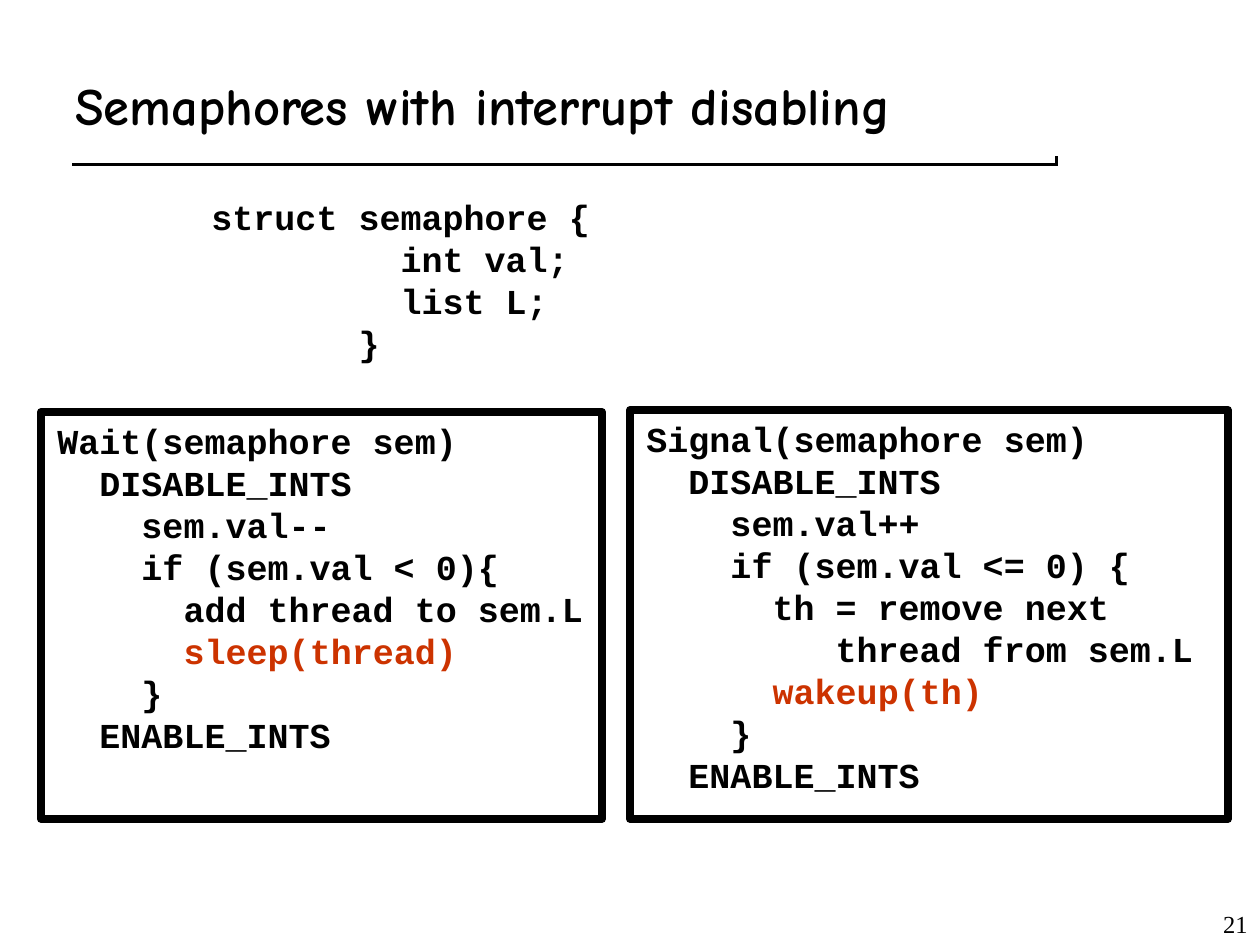
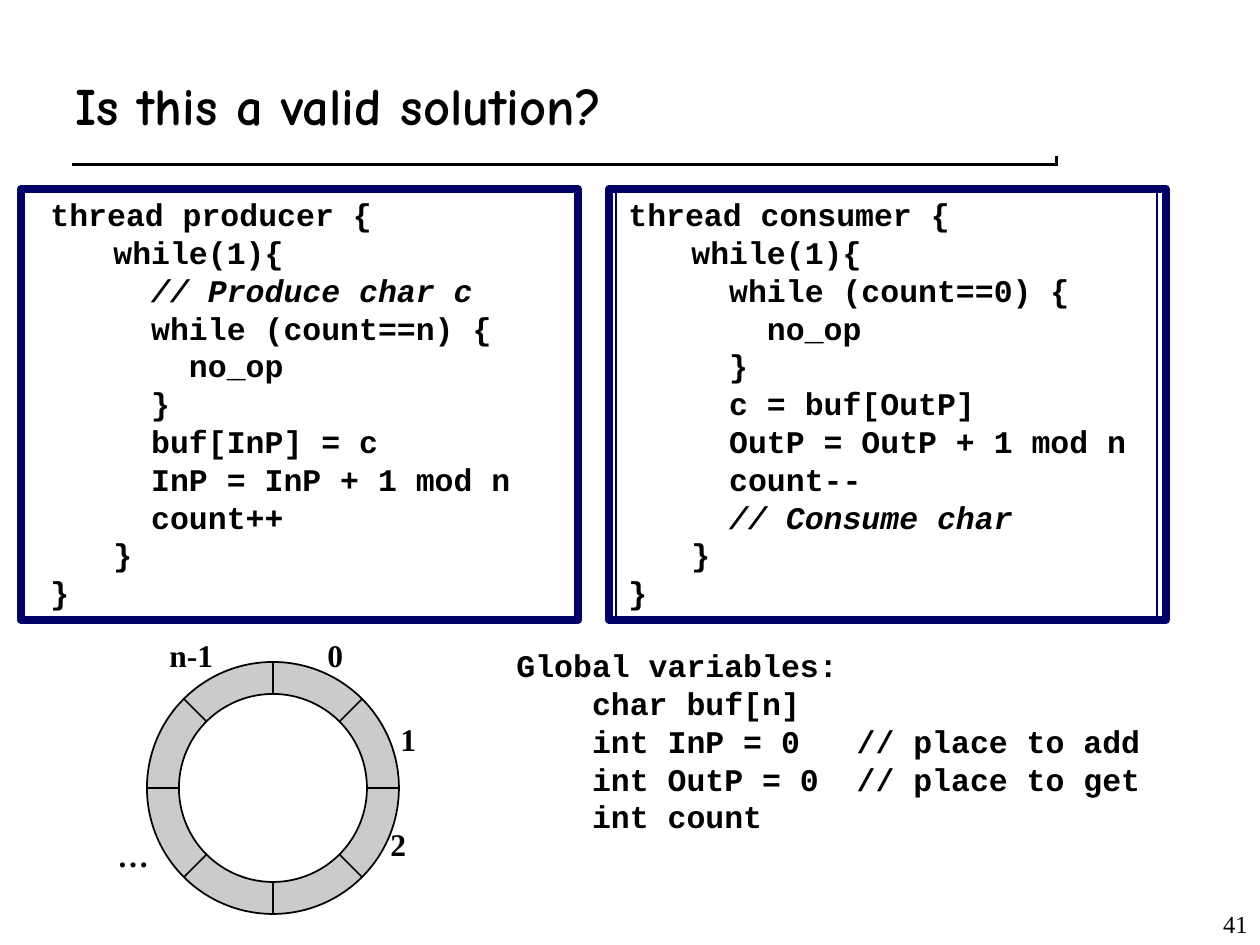
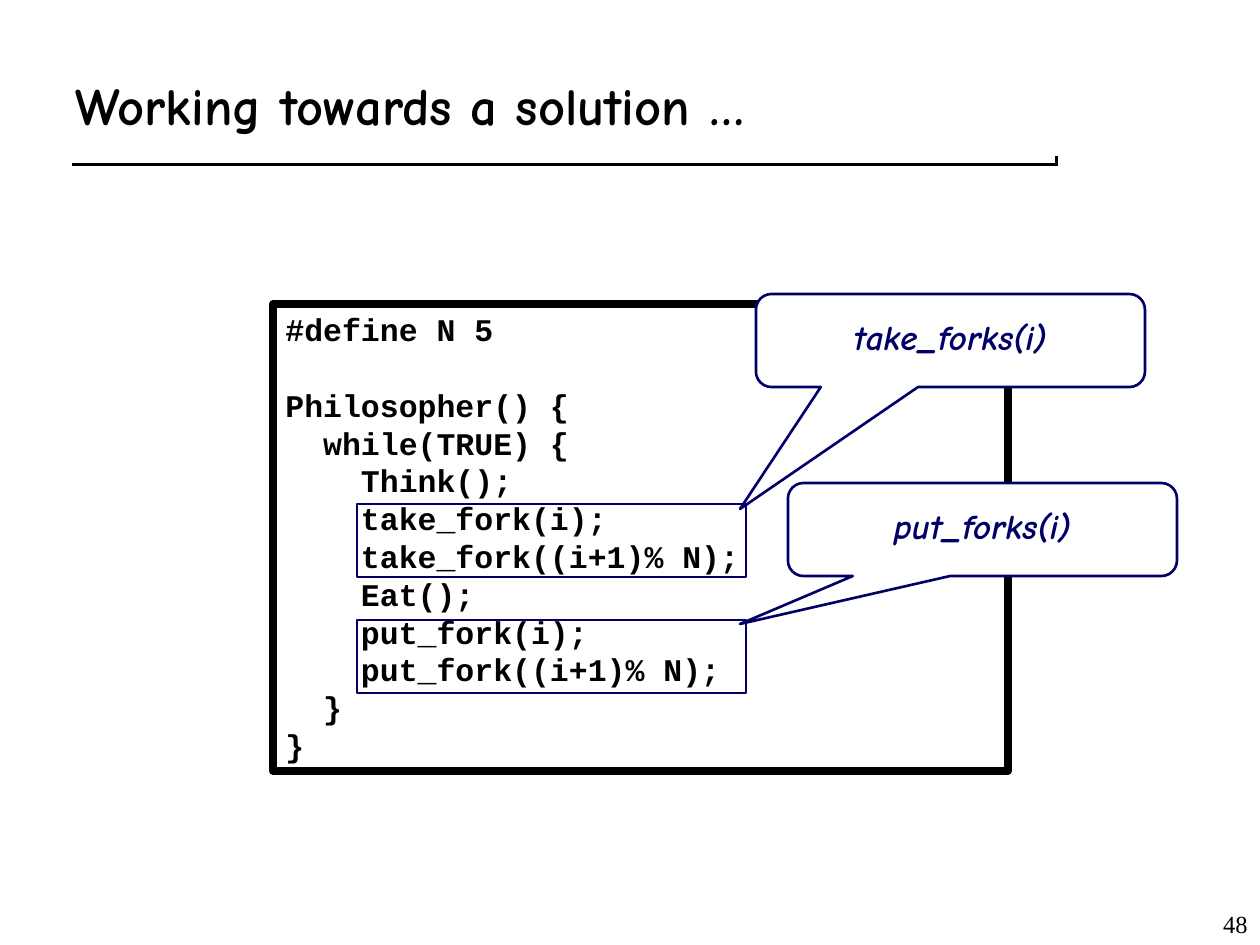
from math import cos, pi, sin

from lxml.etree import SubElement
from pptx import Presentation
from pptx.dml.color import RGBColor
from pptx.enum.shapes import MSO_CONNECTOR, MSO_SHAPE
from pptx.enum.text import MSO_ANCHOR, PP_ALIGN
from pptx.oxml.ns import qn
from pptx.util import Emu, Pt

PX_PER_INCH = 126
BLACK, WHITE, NAVY, RED, GREY = "000000", "FFFFFF", "000066", "CC3300", "CBCBCB"
TITLE_FONT, CODE_FONT, BODY_FONT = "Comic Neue", "Courier New", "Times New Roman"

WAIT_CODE = [
    "Wait(semaphore sem)",
    "  DISABLE_INTS",
    "    sem.val--",
    "    if (sem.val < 0){",
    "      add thread to sem.L",
    ("      ", "sleep(thread)"),
    "    }",
    "  ENABLE_INTS",
]
SIGNAL_CODE = [
    "Signal(semaphore sem)",
    "  DISABLE_INTS",
    "    sem.val++",
    "    if (sem.val <= 0) {",
    "      th = remove next",
    "         thread from sem.L",
    ("      ", "wakeup(th)"),
    "    }",
    "  ENABLE_INTS",
]
STRUCT_CODE = [
    "struct semaphore {",
    "         int val;",
    "         list L;",
    "       }",
]
PRODUCER_CODE = [
    "thread producer {",
    "while(1){",
    ("  ", "// Produce char c"),
    "  while (count==n) {",
    "    no_op",
    "  }",
    "  buf[InP] = c",
    "  InP = InP + 1 mod n",
    "  count++",
    "}",
    "}",
]
CONSUMER_CODE = [
    "thread consumer {",
    "while(1){",
    "  while (count==0) {",
    "    no_op",
    "  }",
    "  c = buf[OutP]",
    "  OutP = OutP + 1 mod n",
    "  count--",
    ("  ", "// Consume char"),
    "}",
    "}",
]
GLOBALS_CODE = [
    "Global variables:",
    "    char buf[n]",
    "    int InP = 0   // place to add",
    "    int OutP = 0  // place to get",
    "    int count",
]
PHILOSOPHER_CODE = [
    "#define N 5",
    "Philosopher() {",
    "  while(TRUE) {",
    "    Think();",
    "    take_fork(i);",
    "    take_fork((i+1)% N);",
    "    Eat();",
    "    put_fork(i);",
    "    put_fork((i+1)% N);",
    "  }",
    "}",
]


def px(length):
    return Emu(round(length * 914400 / PX_PER_INCH))


def color(hex_value):
    return RGBColor.from_string(hex_value)


def add_run(paragraph, text, font, size, hex_value=BLACK, bold=True, italic=False):
    run = paragraph.add_run()
    run.text = text
    run.font.name = font
    run.font.size = Pt(size)
    run.font.bold = bold
    run.font.italic = italic
    run.font.color.rgb = color(hex_value)


def add_text_box(slide, box):
    shape = slide.shapes.add_textbox(*map(px, box))
    shape.text_frame.word_wrap = True
    return shape


def add_label(slide, box, text, font, size, bold=True,
              align=PP_ALIGN.LEFT, anchor=MSO_ANCHOR.TOP):
    frame = add_text_box(slide, box).text_frame
    frame.vertical_anchor = anchor
    frame.paragraphs[0].alignment = align
    add_run(frame.paragraphs[0], text, font, size, bold=bold)


def add_outline(slide, kind, box, line, width, fill=None):
    shape = slide.shapes.add_shape(kind, *map(px, box))
    shape.shadow.inherit = False
    shape.line.color.rgb = color(line)
    shape.line.width = Pt(width)
    if fill:
        shape.fill.solid()
        shape.fill.fore_color.rgb = color(fill)
    else:
        shape.fill.background()
    return shape


def add_line(slide, start, end, hex_value, width, cap="flat"):
    line = slide.shapes.add_connector(
        MSO_CONNECTOR.STRAIGHT, *map(px, (*start, *end)))
    line.line.color.rgb = color(hex_value)
    line.line.width = Pt(width)
    line.line._get_or_add_ln().set("cap", cap)
    SubElement(line._element.spPr, qn("a:effectLst"))


def write_code(shape, lines, size, emphasis=None, body_indent=0):
    """Write code lines; a (plain, emphasised) pair styles its second part.

    body_indent shifts every line between the first and the last.
    """
    frame = shape.text_frame
    frame.word_wrap = True
    frame.vertical_anchor = MSO_ANCHOR.TOP
    for index, line in enumerate(lines):
        paragraph = frame.paragraphs[0] if index == 0 else frame.add_paragraph()
        paragraph.alignment = PP_ALIGN.LEFT
        if body_indent and 0 < index < len(lines) - 1:
            paragraph._p.get_or_add_pPr().set("marL", str(px(body_indent)))
        plain, *emphasised = (line,) if isinstance(line, str) else line
        add_run(paragraph, plain, CODE_FONT, size)
        for text in emphasised:
            add_run(paragraph, text, CODE_FONT, size, **emphasis)


def add_callout(slide, box, text, tip):
    callout = add_outline(
        slide, MSO_SHAPE.ROUNDED_RECTANGULAR_CALLOUT, box, NAVY, 1.5, WHITE)
    left, top, width, height = box
    callout.adjustments[0] = (tip[0] - left) / width - 0.5
    callout.adjustments[1] = (tip[1] - top) / height - 0.5
    frame = callout.text_frame
    frame.word_wrap = False
    frame.vertical_anchor = MSO_ANCHOR.MIDDLE
    paragraph = frame.paragraphs[0]
    paragraph.alignment = PP_ALIGN.CENTER
    paragraph.line_spacing = 0.8
    add_run(paragraph, text, TITLE_FONT, 20, NAVY, italic=True)


def add_ring_buffer(slide, box):
    """Draw a ring of eight slots with the slot labels around it."""
    left, top, size, _ = box
    radius, rim = size / 2, 32
    center_x, center_y = left + radius, top + radius
    add_outline(slide, MSO_SHAPE.OVAL, box, BLACK, 1, GREY)
    for step in range(4):
        dx, dy = radius * cos(step * pi / 4), radius * sin(step * pi / 4)
        add_line(slide, (center_x - dx, center_y - dy),
                 (center_x + dx, center_y + dy), BLACK, 1)
    hole = size - 2 * rim
    add_outline(slide, MSO_SHAPE.OVAL, (left + rim, top + rim, hole, hole),
                BLACK, 1, WHITE)
    labels = [("0", 168, -32), ("1", 241, 52), ("2", 231, 157),
              ("n-1", 10, -32), ("…", -42, 168)]
    for text, dx, dy in labels:
        add_label(slide, (left + dx, top + dy, 84, 50), text, BODY_FONT, 18)


def add_base_slide(presentation, title, number):
    slide = presentation.slides.add_slide(presentation.slide_layouts[6])
    add_line(slide, (77, 161), (1053, 161), BLACK, 6, cap="sq")
    add_line(slide, (73, 158), (1050, 158), WHITE, 6, cap="sq")
    add_label(slide, (998, 882, 262, 63), str(number), BODY_FONT, 14, bold=False,
              align=PP_ALIGN.RIGHT, anchor=MSO_ANCHOR.BOTTOM)
    add_label(slide, (63, 42, 1081, 126), title, TITLE_FONT, 30,
              anchor=MSO_ANCHOR.MIDDLE)
    return slide


def add_semaphore_slide(presentation):
    slide = add_base_slide(presentation, "Semaphores with interrupt disabling", 21)
    write_code(add_text_box(slide, (199, 189, 798, 181)), STRUCT_CODE, 20)
    panels = [((41, 412, 561, 407), WAIT_CODE), ((630, 410, 598, 409), SIGNAL_CODE)]
    for box, lines in panels:
        left, top, width, height = box
        add_outline(slide, MSO_SHAPE.RECTANGLE, box, BLACK, 4.5)
        text_box = add_text_box(slide, (left + 4, top + 1, width, height - 16))
        write_code(text_box, lines, 20, {"hex_value": RED})


def add_producer_consumer_slide(presentation):
    slide = add_base_slide(presentation, "Is this a valid solution?", 41)
    top, width, height = 189, 557, 431
    producer_left, consumer_left = 21, 609
    for left in (producer_left, consumer_left):
        add_outline(slide, MSO_SHAPE.RECTANGLE, (left, top, width, height),
                    NAVY, 4.5, WHITE)
    producer = add_text_box(slide, (producer_left + 17, top, 508, 428))
    consumer = add_outline(slide, MSO_SHAPE.RECTANGLE,
                           (consumer_left + 7, top, 541, 428), NAVY, 1)
    for shape, lines in ((producer, PRODUCER_CODE), (consumer, CONSUMER_CODE)):
        write_code(shape, lines, 18, {"italic": True}, body_indent=63)
    add_ring_buffer(slide, (147, 662, 252, 252))
    write_code(add_text_box(slide, (504, 640, 662, 202)), GLOBALS_CODE, 18)


def add_philosopher_slide(presentation):
    slide = add_base_slide(presentation, "Working towards a solution …", 48)
    left, top = 273, 304
    code = add_outline(slide, MSO_SHAPE.RECTANGLE, (left, top, 735, 467), BLACK, 4.5)
    write_code(code, PHILOSOPHER_CODE, 18)
    code.text_frame.paragraphs[1].space_before = Pt(21.6)
    calls = [("take_forks(i)", 200, (483, -10), (467, 205)),
             ("put_forks(i)", 316, (515, 179), (467, 320))]
    for text, highlight_top, (dx, dy), (tip_x, tip_y) in calls:
        add_outline(slide, MSO_SHAPE.RECTANGLE,
                    (left + 84, top + highlight_top, 389, 73), NAVY, 1.5)
        add_callout(slide, (left + dx, top + dy, 389, 93), text,
                    (left + tip_x, top + tip_y))


def main():
    presentation = Presentation()
    presentation.slide_width, presentation.slide_height = px(1260), px(945)
    add_semaphore_slide(presentation)
    add_producer_consumer_slide(presentation)
    add_philosopher_slide(presentation)
    presentation.save("out.pptx")


if __name__ == "__main__":
    main()
